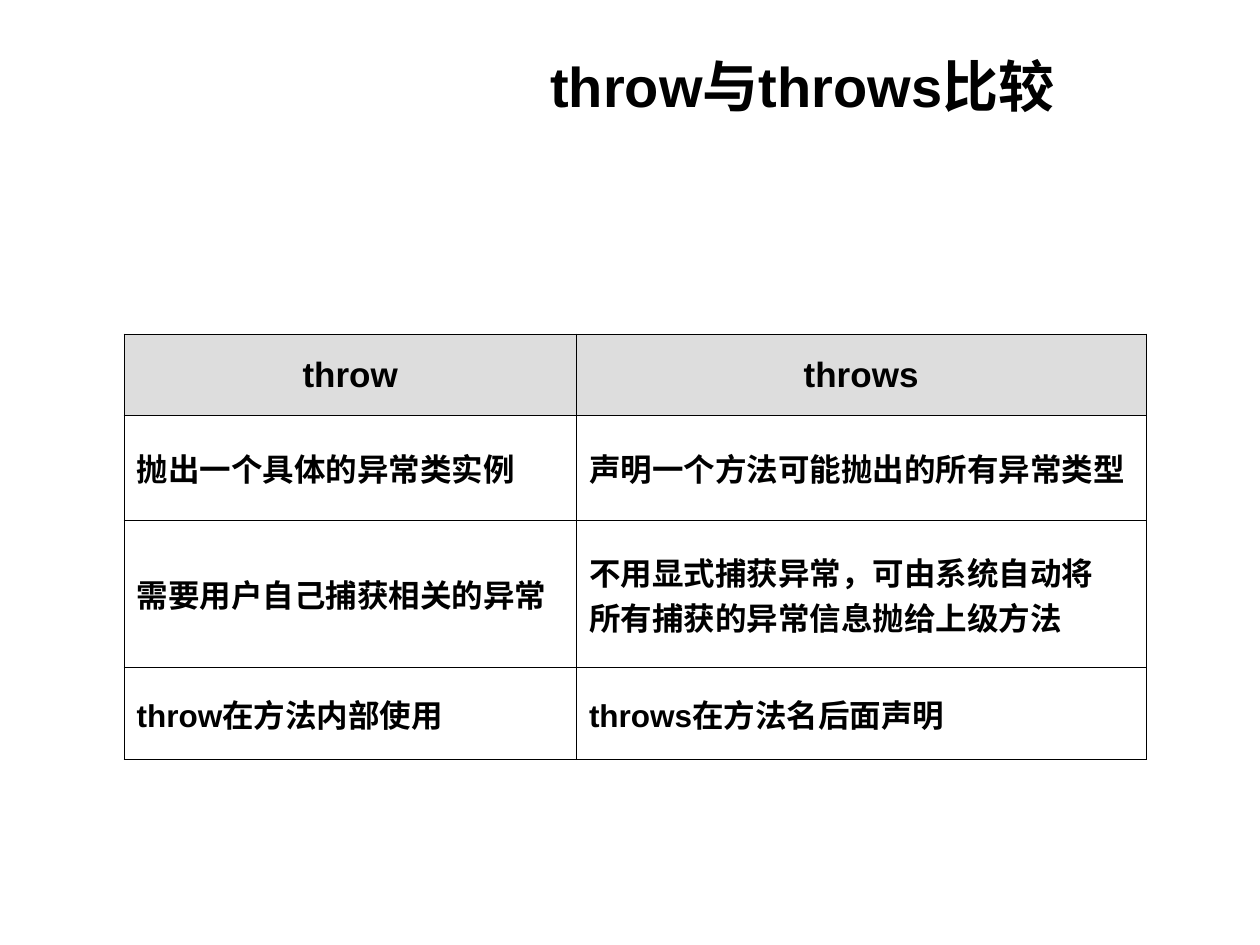
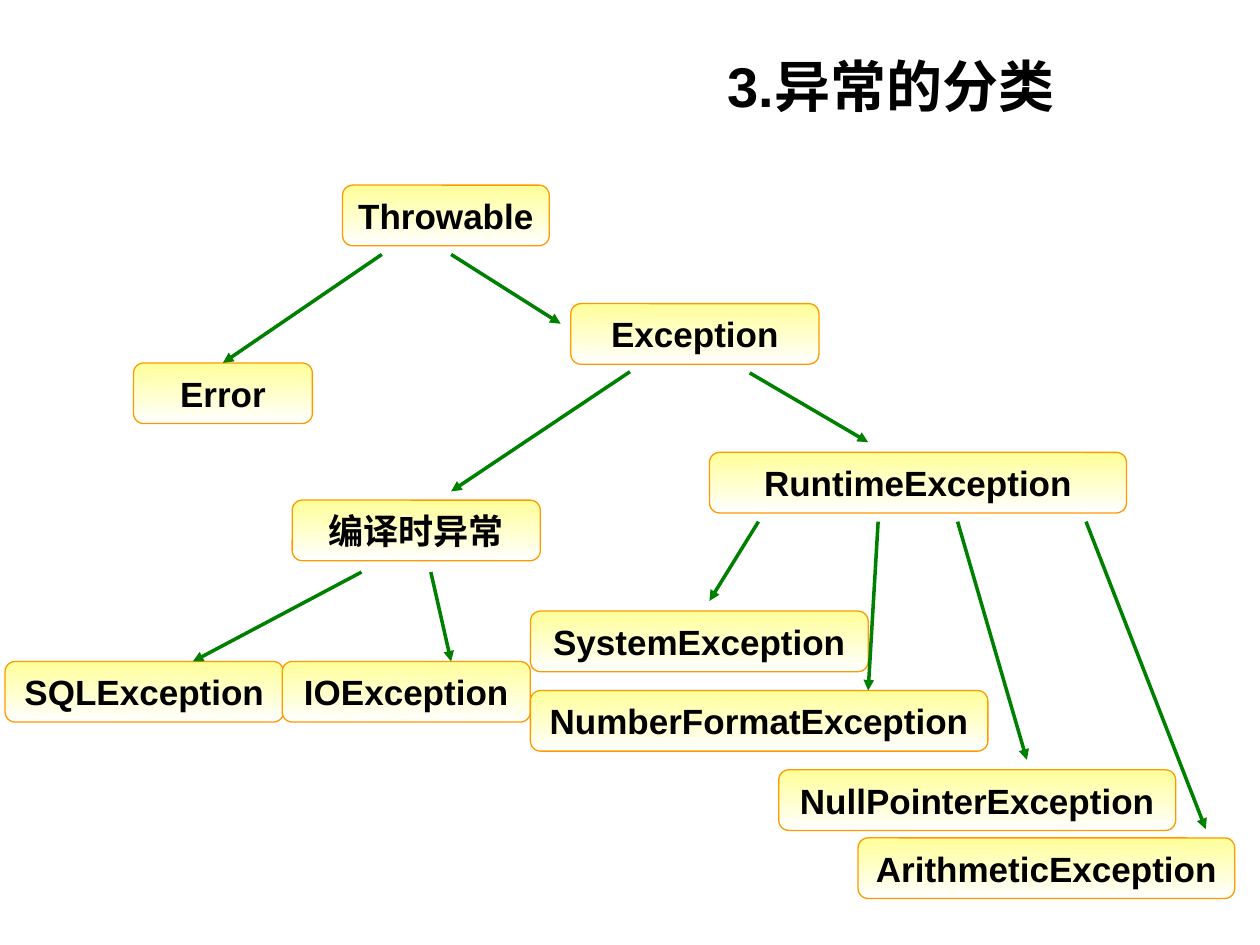
from dataclasses import dataclass

from lxml import etree
from pptx import Presentation
from pptx import util as u
from pptx.dml.color import RGBColor
from pptx.enum import shapes, text
from pptx.oxml import ns

Pt = u.Pt
MID = text.MSO_ANCHOR.MIDDLE
LEFT, MIDDLE, RIGHT = (text.PP_ALIGN.LEFT, text.PP_ALIGN.CENTER,
                       text.PP_ALIGN.RIGHT)


@dataclass(frozen=True)
class Theme:
    font: str = "Arial"
    ink: str = "000000"
    head: str = "DDDDDD"
    glow: str = "FFFF99"
    pale: str = "FFFFFF"
    edge: str = "FF9900"
    arrow: str = "008000"
    title: int = 32
    label: int = 20
    body: int = 18


def rgb(code):
    return RGBColor.from_string(code)


class Deck:
    def __init__(self, theme):
        self.theme = theme
        self.prs = Presentation()
        self.prs.slide_width, self.prs.slide_height = Pt(720), Pt(540)
        self.slide = None

    def label(self, frame, words, size, align):
        """Fill a text frame, one paragraph for each line of words."""
        frame.text = words
        for par in frame.paragraphs:
            par.alignment = align
            font = par.font
            font.name, font.size, font.bold = self.theme.font, Pt(size), True
            font.color.rgb = rgb(self.theme.ink)

    def page(self, title):
        """Start a slide with its right-aligned title."""
        self.slide = self.prs.slides.add_slide(self.prs.slide_layouts[6])
        box = self.slide.shapes.add_textbox(
            Pt(184.3), Pt(25.9), Pt(425.5), Pt(45.4))
        frame = box.text_frame
        frame.word_wrap, frame.vertical_anchor = True, MID
        self.label(frame, title, self.theme.title, RIGHT)

    def border(self, cell):
        """Draw a thin line on all four sides of a cell."""
        props = cell._tc.get_or_add_tcPr()
        for spot, side in enumerate(("lnL", "lnR", "lnT", "lnB")):
            line = etree.Element(ns.qn("a:" + side), w=str(Pt(0.45)))
            fill = etree.SubElement(line, ns.qn("a:solidFill"))
            etree.SubElement(fill, ns.qn("a:srgbClr"), val=self.theme.ink)
            props.insert(spot, line)

    def table(self, left, top, cols, rows, data):
        """Add a ruled table with a shaded head row."""
        grid = self.slide.shapes.add_table(
            len(rows), len(cols), Pt(left), Pt(top),
            Pt(sum(cols)), Pt(sum(rows))).table
        grid.horz_banding = grid.first_row = False
        for col, width in zip(grid.columns, cols):
            col.width = Pt(width)
        for i, (row, height) in enumerate(zip(grid.rows, rows)):
            row.height = Pt(height)
            for cell, words in zip(row.cells, data[i]):
                cell.vertical_anchor = MID
                if i == 0:
                    cell.fill.solid()
                    cell.fill.fore_color.rgb = rgb(self.theme.head)
                    self.label(cell.text_frame, words, self.theme.label, MIDDLE)
                else:
                    cell.fill.background()
                    self.label(cell.text_frame, words, self.theme.body, LEFT)
                self.border(cell)

    def box(self, name, left, top, width, height=34.6):
        """Add a rounded class box that fades from yellow to white."""
        shape = self.slide.shapes.add_shape(
            shapes.MSO_SHAPE.ROUNDED_RECTANGLE,
            Pt(left), Pt(top), Pt(width), Pt(height))
        shape.shadow.inherit = False
        shape.fill.gradient()
        shape.fill.gradient_angle = 270
        stops = zip(shape.fill.gradient_stops,
                    (self.theme.glow, self.theme.pale))
        for spot, (stop, tone) in enumerate(stops):
            stop.position, stop.color.rgb = spot, rgb(tone)
        shape.line.color.rgb = rgb(self.theme.edge)
        shape.line.width = Pt(0.75)
        frame = shape.text_frame
        frame.word_wrap, frame.vertical_anchor = False, MID
        self.label(frame, name, self.theme.label, MIDDLE)
        return shape

    def arrow(self, start, end, child):
        """Add an arrow; without an end it joins the top of the child."""
        line = self.slide.shapes.add_connector(
            shapes.MSO_CONNECTOR.STRAIGHT,
            *(Pt(n) for n in start + (end or start)))
        if end is None:
            line.end_connect(child, 0)
        line.line.color.rgb = rgb(self.theme.arrow)
        line.line.width = Pt(2)
        etree.SubElement(line.line._get_or_add_ln(), ns.qn("a:tailEnd"),
                         type="triangle")
        etree.SubElement(line._element.spPr, ns.qn("a:effectLst"))


# Rows of the comparison, head row first
ROWS = [
    ("throw", "throws"),
    ("抛出一个具体的异常类实例", "声明一个方法可能抛出的所有异常类型"),
    ("需要用户自己捕获相关的异常",
     "不用显式捕获异常，可由系统自动将\n所有捕获的异常信息抛给上级方法"),
    ("throw在方法内部使用", "throws在方法名后面声明"),
]

# Class boxes: name, left, top, width, arrow start, arrow end
TREE = [
    ("Error", 76.3, 207.4, 102.2, (218.2, 145.4), None),
    ("Exception", 326.2, 173.5, 141.8, (257.8, 145.4), (320.4, 185)),
    ("编译时异常", 167, 285.8, 141.8, (360, 212.4), (257.8, 280.8)),
    ("RuntimeException", 405.4, 258.5, 238.3, (428.4, 213.1), (496.1, 252.7)),
    ("SQLException", 2.9, 378, 159.1, (206.6, 326.9), (110.2, 378)),
    ("IOException", 161.3, 378, 141.8, (246.2, 326.9), (257.8, 378)),
    ("SystemException", 303.1, 349.2, 193, (433.4, 298.1), (405.4, 343.4)),
    ("NumberFormatException", 303.1, 394.6, 261.4,
     (501.8, 298.1), (496.1, 394.6)),
    ("NullPointerException", 445, 439.9, 226.8,
     (547.2, 298.1), (586.8, 434.2)),
    ("ArithmeticException", 490.3, 478.8, 215.3,
     (620.6, 298.1), (689, 473.8)),
]


def main():
    deck = Deck(Theme())

    # Comparison table
    deck.page("throw与throws比较")
    deck.table(70.9, 190.8, (258.5, 325.4), (46.8, 59.8, 84.2, 52.6), ROWS)

    # Class tree
    deck.page("3.异常的分类")
    deck.box("Throwable", 195.8, 105.8, 118.1)
    for name, left, top, width, start, end in TREE:
        child = deck.box(name, left, top, width)
        deck.arrow(start, end, child)

    deck.prs.save("out.pptx")


if __name__ == "__main__":
    main()
